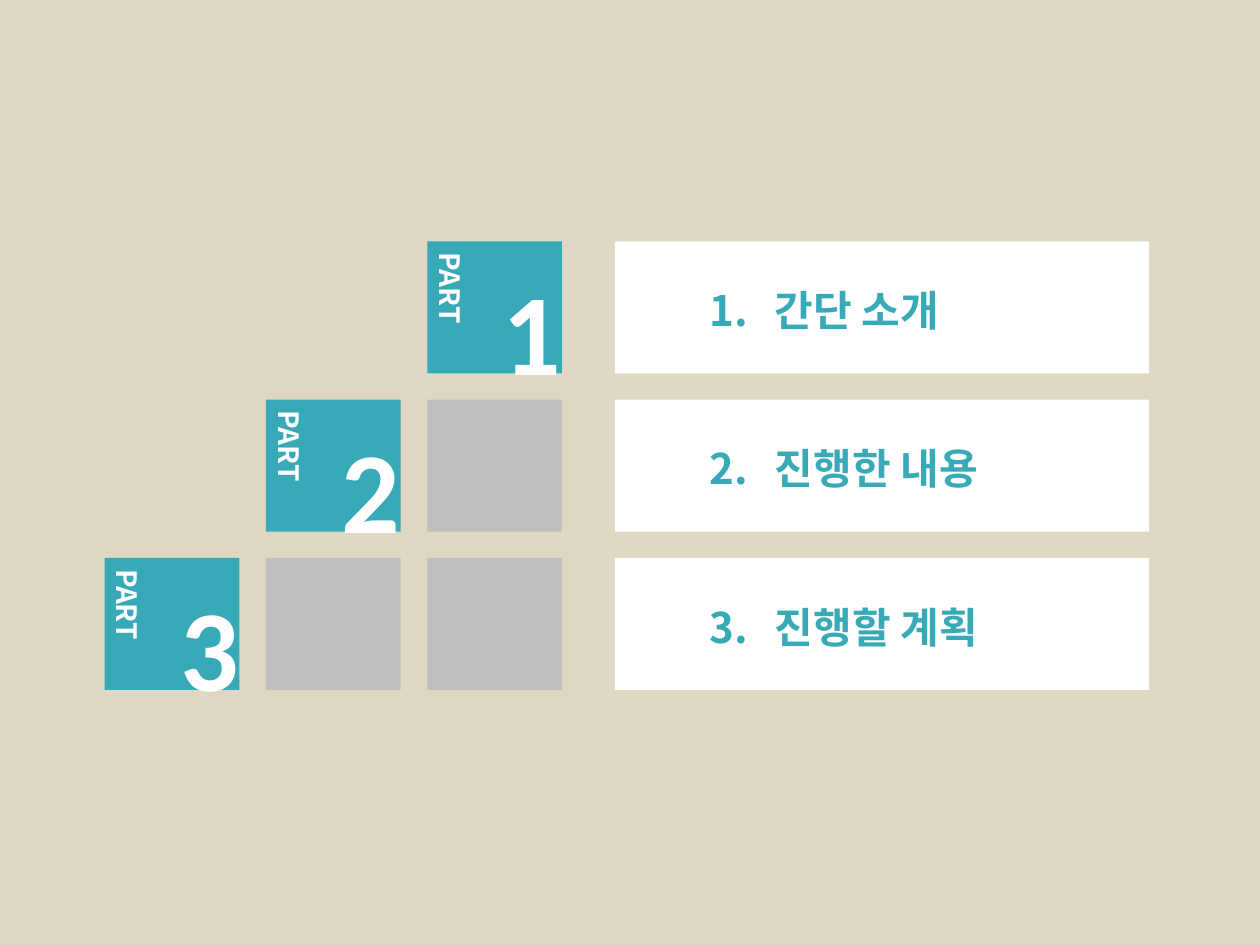
"""Build a contents slide with a staircase of part tiles and three headings."""
from dataclasses import dataclass

from lxml import etree
from pptx import Presentation
from pptx import util as u
from pptx.dml.color import RGBColor
from pptx.enum import shapes, text
from pptx.oxml.ns import qn


@dataclass(frozen=True)
class Theme:
    sand: str = "DED7C3"
    teal: str = "38A9B7"
    grey: str = "BFBFBF"
    white: str = "FFFFFF"
    latin: str = "Calibri"
    korean: str = "Noto Sans CJK KR"
    digit_size: float = 66
    heading_size: float = 24
    label_size: float = 16


@dataclass(frozen=True)
class Frame:
    left: float
    top: float
    width: float
    height: float

    def offset(self, right: float, down: float, width: float, height: float) -> "Frame":
        """Return a new frame placed relative to this one's corner."""
        return Frame(self.left + right, self.top + down, width, height)

    def lengths(self) -> list[int]:
        """Return the frame as point lengths."""
        return [u.Pt(value) for value in (self.left, self.top, self.width, self.height)]


@dataclass(frozen=True)
class Style:
    font: str
    size: float
    color: str
    wrap: bool = False
    vertical: bool = False
    hanging: float = 0


THEME = Theme()
DIGIT = Style(THEME.latin, THEME.digit_size, THEME.white)
LABEL = Style(THEME.korean, THEME.label_size, THEME.white, vertical=True)
HEADING = Style(THEME.korean, THEME.heading_size, THEME.teal, wrap=True, hanging=37.5)
HEADINGS = ("간단 소개", "진행한 내용", "진행할 계획")
FIRST_TILE = Frame(59.8, 138, 77, 75.4)
COLUMN_STEP, ROW_STEP = 92.2, 90.4
BAR_LEFT, BAR_WIDTH = 351.4, 305.3


def add_block(page, frame: Frame, color: str) -> None:
    """Draw a flat rectangle without an outline."""
    block = page.shapes.add_shape(shapes.MSO_SHAPE.RECTANGLE, *frame.lengths())
    block.shadow.inherit = False
    block.fill.solid()
    block.fill.fore_color.rgb = RGBColor.from_string(color)
    block.line.fill.background()


def add_text(page, frame: Frame, words: str, style: Style) -> None:
    """Write one line of bold text in the given style."""
    box = page.shapes.add_textbox(*frame.lengths())
    box.text_frame.word_wrap = style.wrap
    box.text_frame.auto_size = text.MSO_AUTO_SIZE.SHAPE_TO_FIT_TEXT
    if style.vertical:
        box.element.txBody.bodyPr.set("vert", "eaVert")
    para = box.text_frame.paragraphs[0]
    if style.hanging:
        properties = para._p.get_or_add_pPr()
        properties.set("marL", str(u.Pt(style.hanging)))
        properties.set("indent", str(-u.Pt(style.hanging)))
    span = para.add_run()
    span.text = words
    formats = {"name": style.font, "size": u.Pt(style.size), "bold": True}
    for name, value in formats.items():
        setattr(span.font, name, value)
    span.font.color.rgb = RGBColor.from_string(style.color)
    east_asian = etree.SubElement(span._r.get_or_add_rPr(), qn("a:ea"))
    east_asian.set("typeface", style.font)


def tile_frame(row: int, column: int) -> Frame:
    """Return the frame of one tile in the staircase grid."""
    return FIRST_TILE.offset(column * COLUMN_STEP, row * ROW_STEP,
                             FIRST_TILE.width, FIRST_TILE.height)


def add_part(page, row: int, heading: str) -> None:
    """Draw one row: its tiles, part number, label and heading bar."""
    lead = len(HEADINGS) - 1 - row
    for column in range(lead, len(HEADINGS)):
        add_block(page, tile_frame(row, column),
                  THEME.teal if column == lead else THEME.grey)
    bar = Frame(BAR_LEFT, tile_frame(row, 0).top, BAR_WIDTH, FIRST_TILE.height)
    add_block(page, bar, THEME.white)
    add_text(page, bar.offset(46.8, 21.2, 229, 36), f"{row + 1}.\t{heading}", HEADING)


def add_part_marks(page, row: int) -> None:
    """Write the number and label on the leading tile of a row."""
    tile = tile_frame(row, len(HEADINGS) - 1 - row)
    add_text(page, tile.offset(36, 7, 65.5, 107.3), str(row + 1), DIGIT)
    add_text(page, tile.offset(-7.2, -0.7, 33.8, 54.7), "PART", LABEL)


def main() -> None:
    """Create the deck and save it."""
    deck = Presentation()
    deck.slide_width, deck.slide_height = u.Pt(720), u.Pt(540)
    page = deck.slides.add_slide(deck.slide_layouts.get_by_name("Blank"))
    page.background.fill.solid()
    page.background.fill.fore_color.rgb = RGBColor.from_string(THEME.sand)
    for row, heading in enumerate(HEADINGS):
        add_part(page, row, heading)
    for row in range(len(HEADINGS)):
        add_part_marks(page, row)
    deck.save("out.pptx")


if __name__ == "__main__":
    main()
